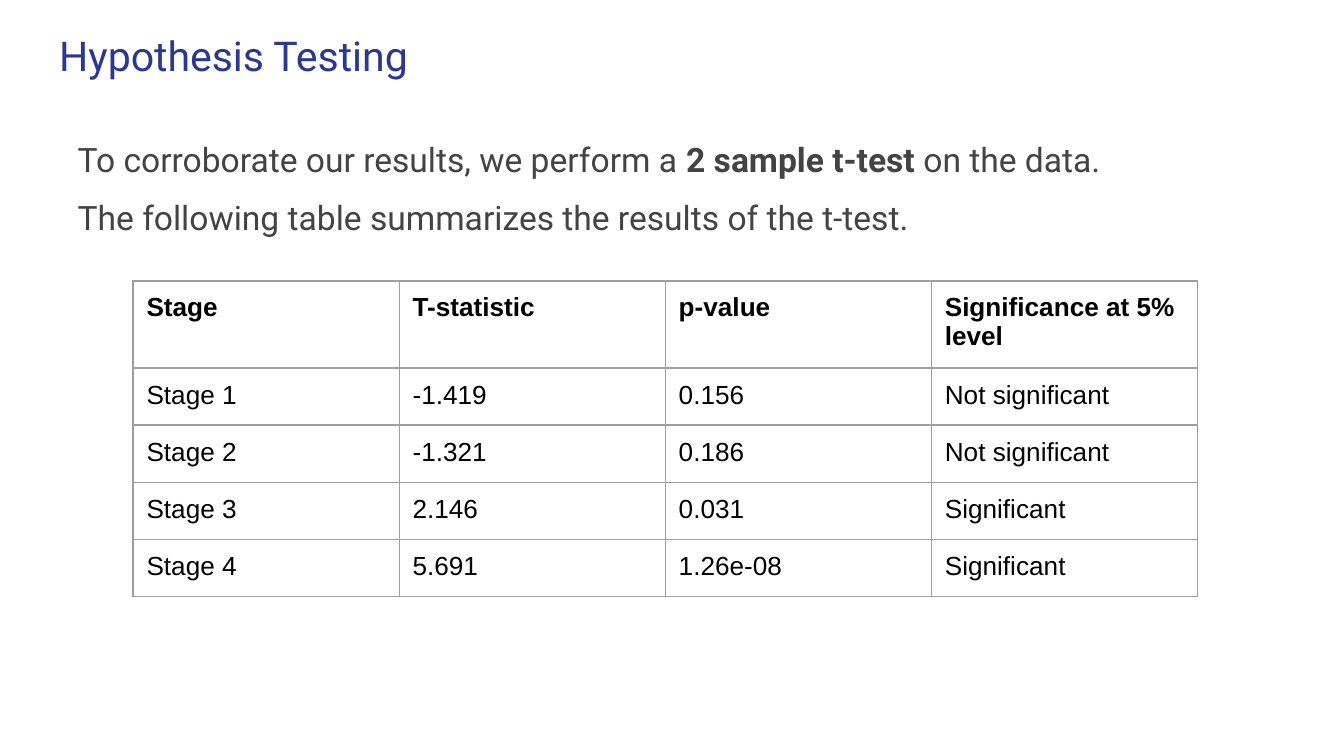
from lxml.etree import SubElement
from pptx import Presentation
from pptx.dml.color import RGBColor
from pptx.enum.text import MSO_ANCHOR, PP_ALIGN
from pptx.oxml.ns import qn
from pptx.util import Inches, Pt

COLORS = {"title": "2A3990", "body": "434343", "table": "000000", "border": "9E9E9E"}
INSET = Inches(0.1)


def add_run(paragraph, text, font, size, color, bold=False):
    run = paragraph.add_run()
    run.text = text
    run.font.name = font
    run.font.size = Pt(size)
    run.font.bold = bold
    run.font.color.rgb = RGBColor.from_string(COLORS[color])


def set_frame(frame):
    frame.margin_left = frame.margin_right = INSET
    frame.margin_top = frame.margin_bottom = INSET
    frame.vertical_anchor = MSO_ANCHOR.TOP
    frame.word_wrap = True


# Widescreen page, 16:9
prs = Presentation()
prs.slide_width = Inches(10)
prs.slide_height = Inches(10 * 9 / 16)
slide = prs.slides.add_slide(prs.slide_layouts[5])

# Title
title = slide.shapes.title
title.left, title.top = Inches(0.34), Inches(0.13)
title.width, title.height = Inches(9.32), Inches(0.66)
set_frame(title.text_frame)
heading = title.text_frame.paragraphs[0]
heading.alignment = PP_ALIGN.LEFT
add_run(heading, "Hypothesis Testing", "Roboto", 22, "title")

# Introduction
intro = slide.shapes.add_textbox(Inches(0.48), Inches(0.93), Inches(9.1), Inches(4.35)).text_frame
set_frame(intro)
method = intro.paragraphs[0]
add_run(method, "To corroborate our results, we perform a ", "Roboto", 18, "body")
add_run(method, "2 sample t-test", "Roboto", 18, "body", bold=True)
add_run(method, " on the data.", "Roboto", 18, "body")
summary = intro.add_paragraph()
summary.space_before = Pt(9.5)
add_run(summary, "The following table summarizes the results of the t-test.", "Roboto", 18, "body")

# Results table
results = [
    ("Stage", "T-statistic", "p-value", "Significance at 5% level"),
    ("Stage 1", "-1.419", "0.156", "Not significant"),
    ("Stage 2", "-1.321", "0.186", "Not significant"),
    ("Stage 3", "2.146", "0.031", "Significant"),
    ("Stage 4", "5.691", "1.26e-08", "Significant"),
]
col_width, header_height, row_height = Inches(1.98), Inches(0.63), Inches(0.42)
table = slide.shapes.add_table(
    len(results), len(results[0]), Inches(0.99), Inches(2.09),
    col_width * len(results[0]), header_height + row_height * (len(results) - 1),
).table
table.horz_banding = False

for r, values in enumerate(results):
    table.rows[r].height = row_height if r else header_height
    for c, value in enumerate(values):
        cell = table.cell(r, c)
        cell.margin_left = cell.margin_right = INSET
        cell.margin_top = cell.margin_bottom = INSET
        entry = cell.text_frame.paragraphs[0]
        entry.line_spacing = 0.96
        add_run(entry, value, "Arial", 14, "table", bold=r == 0)

        # Borders come before the fill in the cell properties
        properties = cell._tc.get_or_add_tcPr()
        for side in ("a:lnL", "a:lnR", "a:lnT", "a:lnB"):
            line = SubElement(properties, qn(side), w=str(Pt(0.75)))
            fill = SubElement(line, qn("a:solidFill"))
            SubElement(fill, qn("a:srgbClr"), val=COLORS["border"])
        cell.fill.background()

prs.save("out.pptx")
